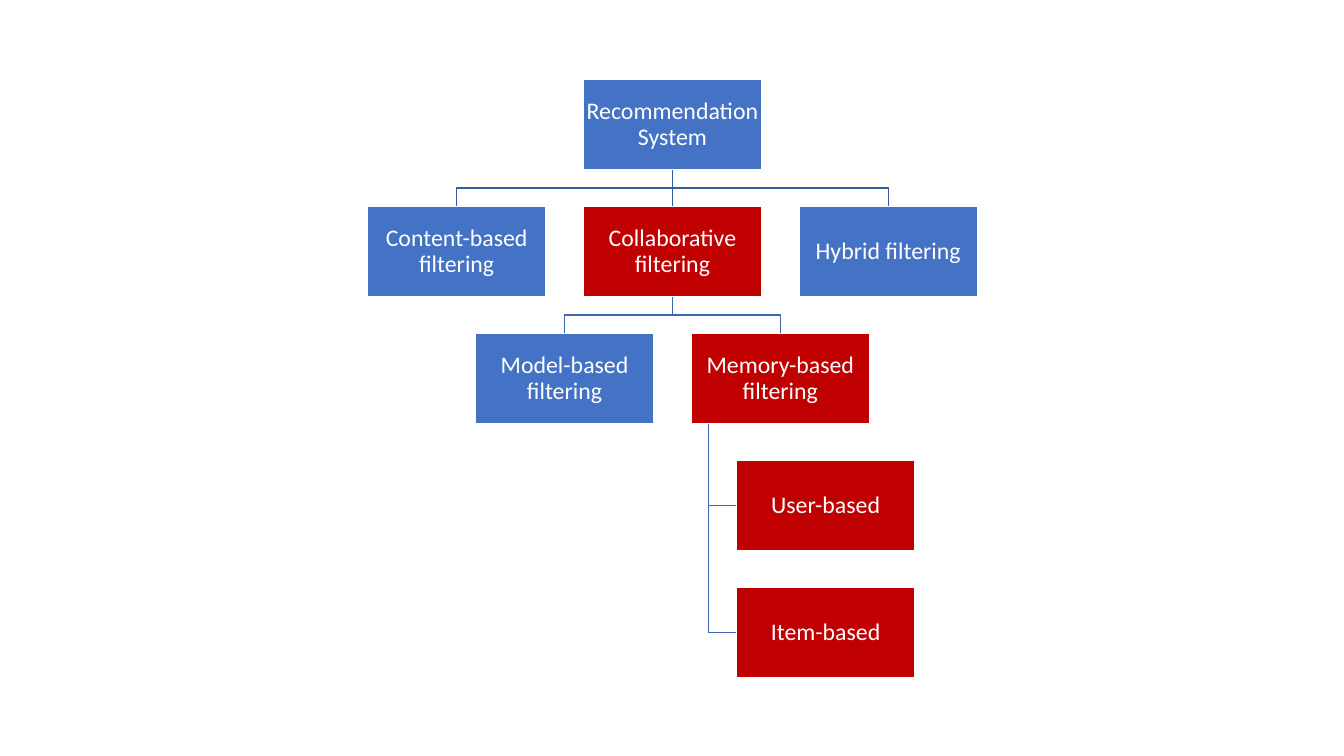
from pptx import Presentation
from pptx import util as u
from pptx.dml import color
from pptx.enum import shapes, text
from pptx.oxml import xmlchemy as xml

BLUE, RED = "4472C4", "C00000"
TOP, SIDE = "365B9D", "3E67B2"
WIDE, HIGH = 1.77, 0.89
MID, COL, HEAD, ROW = 6.67, 1.07, 0.79, 1.26
HANG = 7.03

NODES = {
    "Recommendation System": (0, 0, BLUE),
    "Content-based filtering": (-2, 1, BLUE),
    "Collaborative filtering": (0, 1, RED),
    "Hybrid filtering": (2, 1, BLUE),
    "Model-based filtering": (-1, 2, BLUE),
    "Memory-based filtering": (1, 2, RED),
    "User-based": (1.42, 3, RED),
    "Item-based": (1.42, 4, RED),
}
FORKS = [(0, 1, (2, 0, -2), TOP), (1, 2, (1, -1), SIDE)]


def rgb(code):
    return color.RGBColor.from_string(code)


def put(item, style):
    for name, value in style.items():
        setattr(item, name, value)


class Chart:
    """Draws the boxes and links of a tree on one slide."""

    frame = {
        "word_wrap": True,
        "vertical_anchor": text.MSO_ANCHOR.MIDDLE,
        **{f"margin_{side}": u.Inches(0.01)
           for side in ("left", "right", "top", "bottom")},
    }
    para = {"alignment": text.PP_ALIGN.CENTER, "line_spacing": 0.9}
    font = {"name": "Calibri", "size": u.Pt(17)}

    def __init__(self, slide):
        self.shapes = slide.shapes

    def line(self, item, code):
        item.line.color.rgb = rgb(code)
        item.line.width = u.Pt(1)

    def box(self, label, left, top, fill):
        item = self.shapes.add_shape(
            shapes.MSO_SHAPE.RECTANGLE,
            *map(u.Inches, (left, top, WIDE, HIGH)))
        item.shadow.inherit = False
        item.fill.solid()
        item.fill.fore_color.rgb = rgb(fill)
        self.line(item, "FFFFFF")
        put(item.text_frame, self.frame)
        para = item.text_frame.paragraphs[0]
        put(para, self.para)
        run = para.add_run()
        run.text = label
        put(run.font, self.font)
        run.font.color.rgb = rgb("FFFFFF")

    def stem(self, start, end, code):
        item = self.shapes.add_connector(
            shapes.MSO_CONNECTOR.STRAIGHT, *map(u.Inches, start + end))
        self.line(item, code)
        props = item._element.spPr
        props.append(xml.OxmlElement("a:effectLst"))

    def bend(self, points, code):
        spots = [tuple(map(u.Inches, spot)) for spot in points]
        form = self.shapes.build_freeform(*spots[0])
        form.add_line_segments(spots[1:], close=False)
        item = form.convert_to_shape()
        item.shadow.inherit = False
        item.fill.background()
        self.line(item, code)


def main():
    deck = Presentation()
    deck.slide_width, deck.slide_height = u.Inches(13.33), u.Inches(7.5)
    chart = Chart(deck.slides.add_slide(deck.slide_layouts[6]))

    for row in (4, 3):
        level = HEAD + row * ROW + HIGH / 2
        foot = HEAD + 2 * ROW + HIGH
        chart.bend([(HANG, foot), (HANG, level), (7.3, level)], SIDE)

    for row, below, cols, code in FORKS:
        foot, head = HEAD + row * ROW + HIGH, HEAD + below * ROW
        half = (foot + head) / 2
        for col in cols:
            end = MID + col * COL
            if col:
                chart.bend([(MID, foot), (MID, half), (end, half),
                            (end, head)], code)
            else:
                chart.stem((MID, foot), (MID, head), code)

    for label, (col, row, fill) in NODES.items():
        chart.box(label, MID + col * COL - WIDE / 2, HEAD + row * ROW, fill)

    deck.save("out.pptx")


if __name__ == "__main__":
    main()
